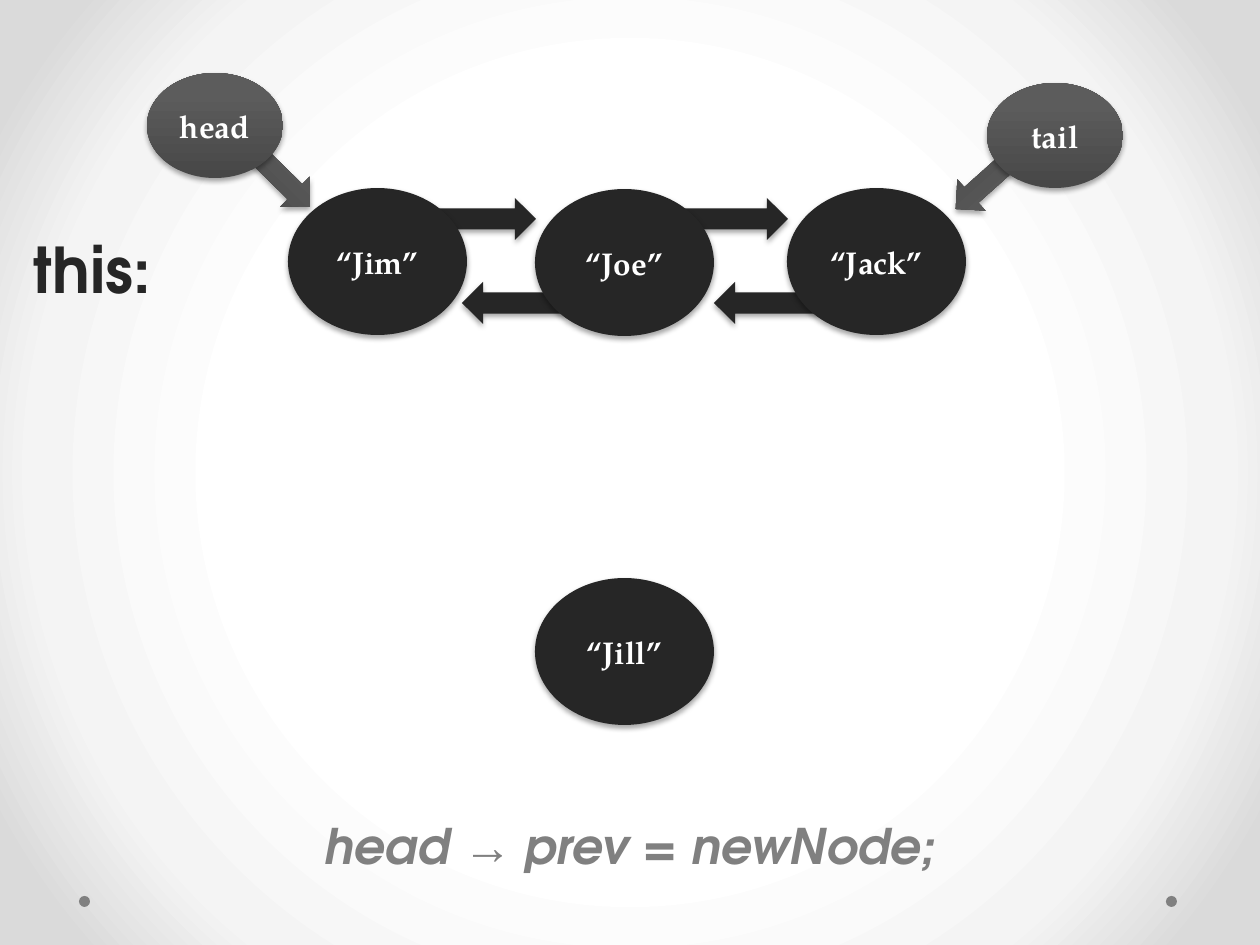
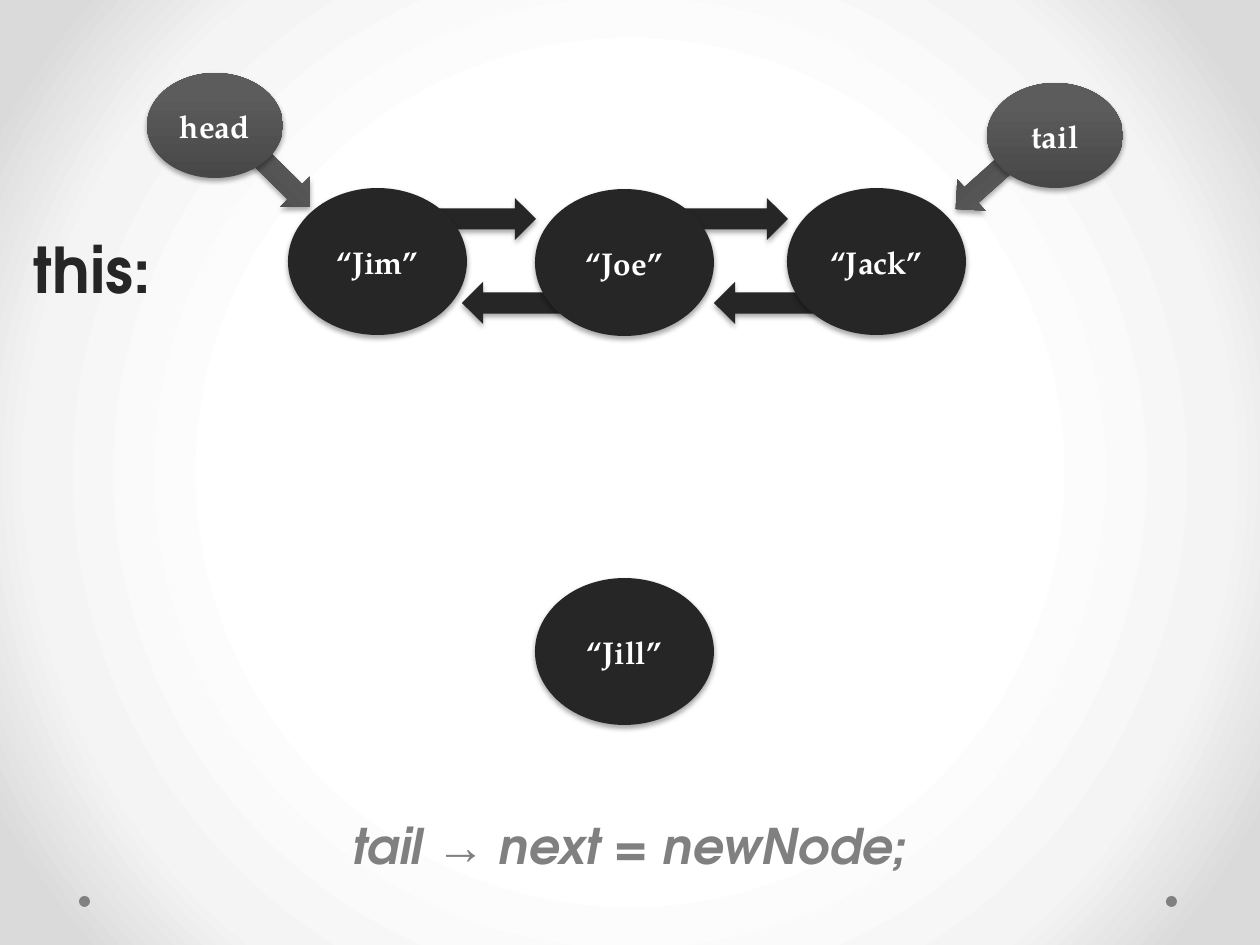
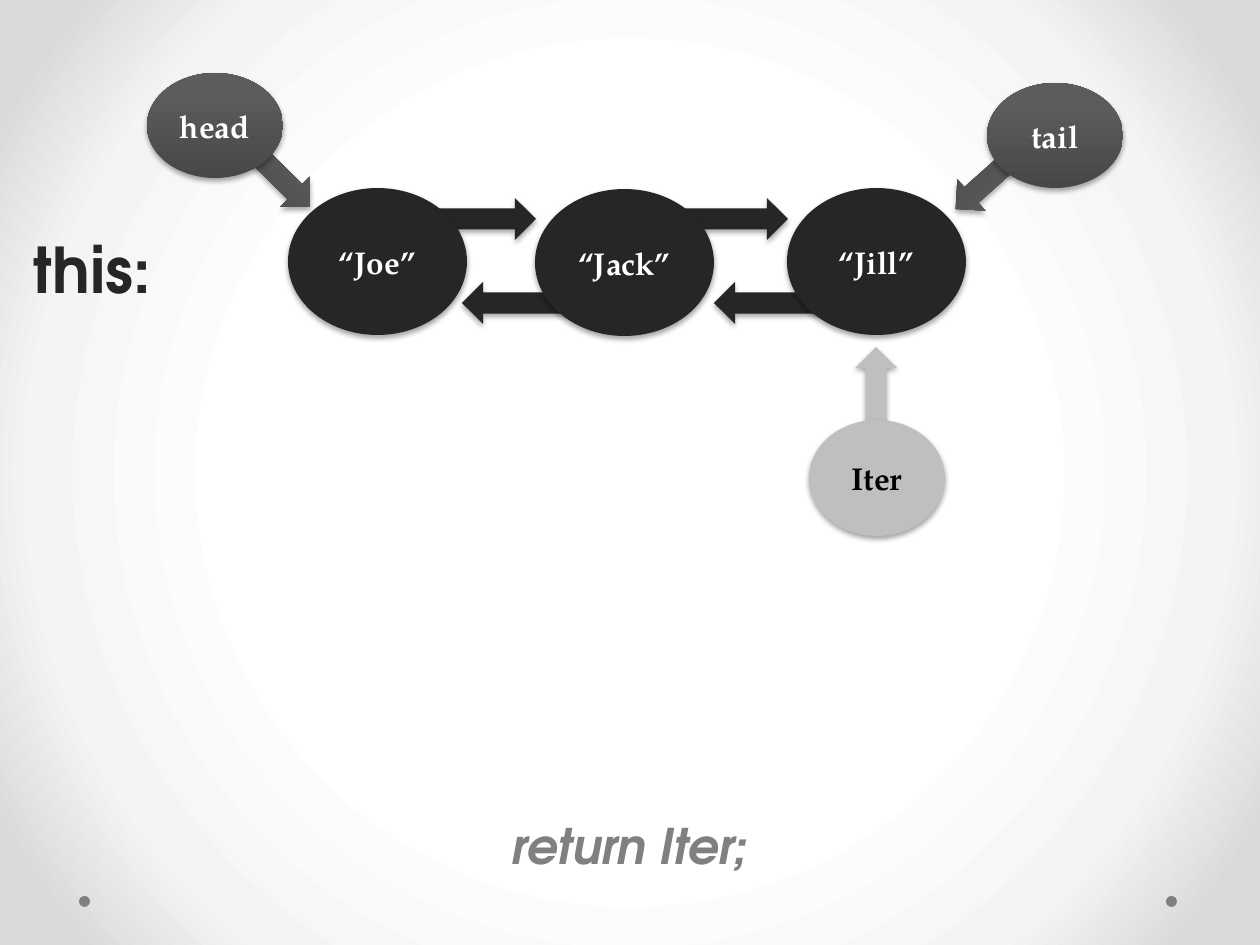
from dataclasses import dataclass
from typing import Any, NamedTuple, Optional

from pptx import Presentation
from pptx.dml.color import RGBColor
from pptx.enum.shapes import MSO_SHAPE
from pptx.enum.text import MSO_ANCHOR, MSO_AUTO_SIZE, PP_ALIGN
from pptx.oxml import parse_xml
from pptx.oxml.ns import nsdecls, qn
from pptx.util import Emu, Pt

PX = 914400 / 126
SLIDE_W, SLIDE_H = 1260, 945

WHITE = RGBColor(0xFF, 0xFF, 0xFF)
BLACK = RGBColor(0x00, 0x00, 0x00)
INK = RGBColor(0x26, 0x26, 0x26)
GREY = RGBColor(0x80, 0x80, 0x80)
SILVER = RGBColor(0xBF, 0xBF, 0xBF)
STEEL_DARK = RGBColor(0x47, 0x47, 0x47)
STEEL = RGBColor(0x5C, 0x5C, 0x5C)
MIST = RGBColor(0xF4, 0xF4, 0xF4)
FOG = RGBColor(0xDA, 0xDA, 0xDA)

HEADING = "TeX Gyre Adventor"
BODY = "TeX Gyre Pagella"
SYMBOL = "Times New Roman"

NODE_FONT = {"name": BODY, "size": Pt(18), "bold": True}
THIS_FONT = {"name": HEADING, "size": Pt(36), "bold": True}
CODE_FONT = {"name": HEADING, "size": Pt(28), "bold": True, "italic": True}
ARROW_FONT = CODE_FONT | {"name": SYMBOL, "bold": False}


class Box(NamedTuple):
    x: int
    y: int
    w: int
    h: int

    def emu(self) -> list[Emu]:
        return [Emu(round(v * PX)) for v in self]


class Gradient(NamedTuple):
    stops: tuple[tuple[int, RGBColor], ...]
    direction: str


class Run(NamedTuple):
    text: str
    font: dict[str, Any]


@dataclass(frozen=True)
class Oval:
    text: str
    box: Box
    fill: RGBColor | Gradient = INK
    color: RGBColor = WHITE


@dataclass(frozen=True)
class Arrow:
    box: Box
    rotation: float = 0
    fill: RGBColor | Gradient = INK


@dataclass(frozen=True)
class ListSlide:
    names: tuple[str, str, str]
    code: tuple[Run, ...]
    new_node: Optional[str] = None
    iterator: Optional[str] = None


BACKDROP = Gradient(
    ((50, WHITE), (76, MIST), (92, FOG)),
    '<a:path path="circle"><a:fillToRect l="50000" t="50000" r="50000" b="50000"/></a:path>',
)
METAL = Gradient(
    ((0, STEEL_DARK), (80, STEEL), (100, STEEL)),
    '<a:lin ang="16200000" scaled="0"/>',
)

STEP = 252
LINKS = [
    arrow
    for i in (1, 0)
    for arrow in (
        Arrow(Box(462 + i * STEP, 282, 105, 42), 180),
        Arrow(Box(431 + i * STEP, 198, 105, 42)),
    )
]
POINTERS = [
    Arrow(Box(945, 160, 84, 42), 138.2, METAL),
    Arrow(Box(238, 156, 84, 42), 44.5, METAL),
]
ENDS = [
    Oval("head", Box(147, 73, 136, 105), METAL),
    Oval("tail", Box(987, 83, 136, 105), METAL),
]
NODE_BOXES = [Box(x, y, 179, 147) for x, y in ((288, 188), (535, 189), (787, 188))]
NEW_NODE_BOX = Box(535, 578, 179, 147)
ITER_BOX = Box(809, 420, 136, 116)
ITER_ARROW = Arrow(Box(834, 368, 84, 42), 270, SILVER)
THIS_BOX = Box(21, 224, 171, 90)
CODE_BOX = Box(181, 809, 897, 71)
DOT_BOXES = [Box(x, 896, 11, 11) for x in (1166, 79)]

SLIDES = [
    ListSlide(
        ("“Jim”", "“Joe”", "“Jack”"),
        (Run("head ", CODE_FONT), Run("→ ", ARROW_FONT), Run("prev = newNode;", CODE_FONT)),
        new_node="“Jill”",
    ),
    ListSlide(
        ("“Jim”", "“Joe”", "“Jack”"),
        (Run("tail ", CODE_FONT), Run("→", ARROW_FONT), Run(" next = newNode;", CODE_FONT)),
        new_node="“Jill”",
    ),
    ListSlide(
        ("“Joe”", "“Jack”", "“Jill”"),
        (Run("return Iter;", CODE_FONT),),
        iterator="Iter",
    ),
]


def set_gradient(fill: Any, parent: Any, gradient: Gradient) -> None:
    fill.gradient()
    stops = "".join(
        f'<a:gs pos="{pos * 1000}"><a:srgbClr val="{color}"/></a:gs>'
        for pos, color in gradient.stops
    )
    new = parse_xml(
        f'<a:gradFill {nsdecls("a")} rotWithShape="1">'
        f"<a:gsLst>{stops}</a:gsLst>{gradient.direction}</a:gradFill>"
    )
    parent.replace(parent.find(qn("a:gradFill")), new)


def add_shadow(sp: Any) -> None:
    effects = sp.element.spPr.find(qn("a:effectLst"))
    effects.append(parse_xml(
        f'<a:outerShdw {nsdecls("a")} blurRad="39370" dist="22860" dir="5400000" rotWithShape="0">'
        '<a:srgbClr val="000000"><a:alpha val="35000"/></a:srgbClr></a:outerShdw>'
    ))


def add_filled(shapes: Any, kind: MSO_SHAPE, box: Box, fill: RGBColor | Gradient) -> Any:
    sp = shapes.add_shape(kind, *box.emu())
    sp.shadow.inherit = False
    sp.line.fill.background()
    if isinstance(fill, Gradient):
        set_gradient(sp.fill, sp.element.spPr, fill)
    else:
        sp.fill.solid()
        sp.fill.fore_color.rgb = fill
    return sp


def write_runs(p: Any, runs: tuple[Run, ...], color: RGBColor, align: PP_ALIGN) -> None:
    p.alignment = align
    for text, font in runs:
        r = p.add_run()
        r.text = text
        for name, value in font.items():
            setattr(r.font, name, value)
        r.font.color.rgb = color


def draw_arrow(shapes: Any, arrow: Arrow) -> None:
    sp = add_filled(shapes, MSO_SHAPE.RIGHT_ARROW, arrow.box, arrow.fill)
    sp.rotation = arrow.rotation
    add_shadow(sp)


def draw_oval(shapes: Any, oval: Oval) -> None:
    sp = add_filled(shapes, MSO_SHAPE.OVAL, oval.box, oval.fill)
    add_shadow(sp)
    tf = sp.text_frame
    tf.vertical_anchor = MSO_ANCHOR.MIDDLE
    write_runs(tf.paragraphs[0], (Run(oval.text, NODE_FONT),), oval.color, PP_ALIGN.CENTER)


def draw_text(
    shapes: Any, box: Box, runs: tuple[Run, ...], color: RGBColor, align: PP_ALIGN
) -> None:
    tf = shapes.add_textbox(*box.emu()).text_frame
    for name, value in {"word_wrap": True, "auto_size": MSO_AUTO_SIZE.SHAPE_TO_FIT_TEXT}.items():
        setattr(tf, name, value)
    write_runs(tf.paragraphs[0], runs, color, align)


def style_master(master: Any, shapes: Any) -> None:
    fill = master.background.fill
    set_gradient(fill, master.element.find(".//" + qn("p:bgPr")), BACKDROP)
    for box in DOT_BOXES:
        dot = add_filled(shapes, MSO_SHAPE.OVAL, box, GREY)
        master.shapes.element.append(dot.element)


def draw_slide(shapes: Any, content: ListSlide) -> None:
    for arrow in LINKS + POINTERS:
        draw_arrow(shapes, arrow)
    draw_text(shapes, THIS_BOX, (Run("this:", THIS_FONT),), INK, PP_ALIGN.LEFT)
    nodes = [Oval(name, box) for name, box in zip(content.names, NODE_BOXES)]
    for oval in ENDS + nodes:
        draw_oval(shapes, oval)
    draw_text(shapes, CODE_BOX, content.code, GREY, PP_ALIGN.CENTER)
    if content.new_node:
        draw_oval(shapes, Oval(content.new_node, NEW_NODE_BOX))
    if content.iterator:
        draw_arrow(shapes, ITER_ARROW)
        draw_oval(shapes, Oval(content.iterator, ITER_BOX, SILVER, BLACK))


def main() -> None:
    prs = Presentation()
    prs.slide_width = Emu(round(SLIDE_W * PX))
    prs.slide_height = Emu(round(SLIDE_H * PX))
    blank = prs.slide_layouts[6]
    for i, content in enumerate(SLIDES):
        s = prs.slides.add_slide(blank)
        if i == 0:
            style_master(prs.slide_master, s.shapes)
        draw_slide(s.shapes, content)
    prs.save("out.pptx")


if __name__ == "__main__":
    main()
